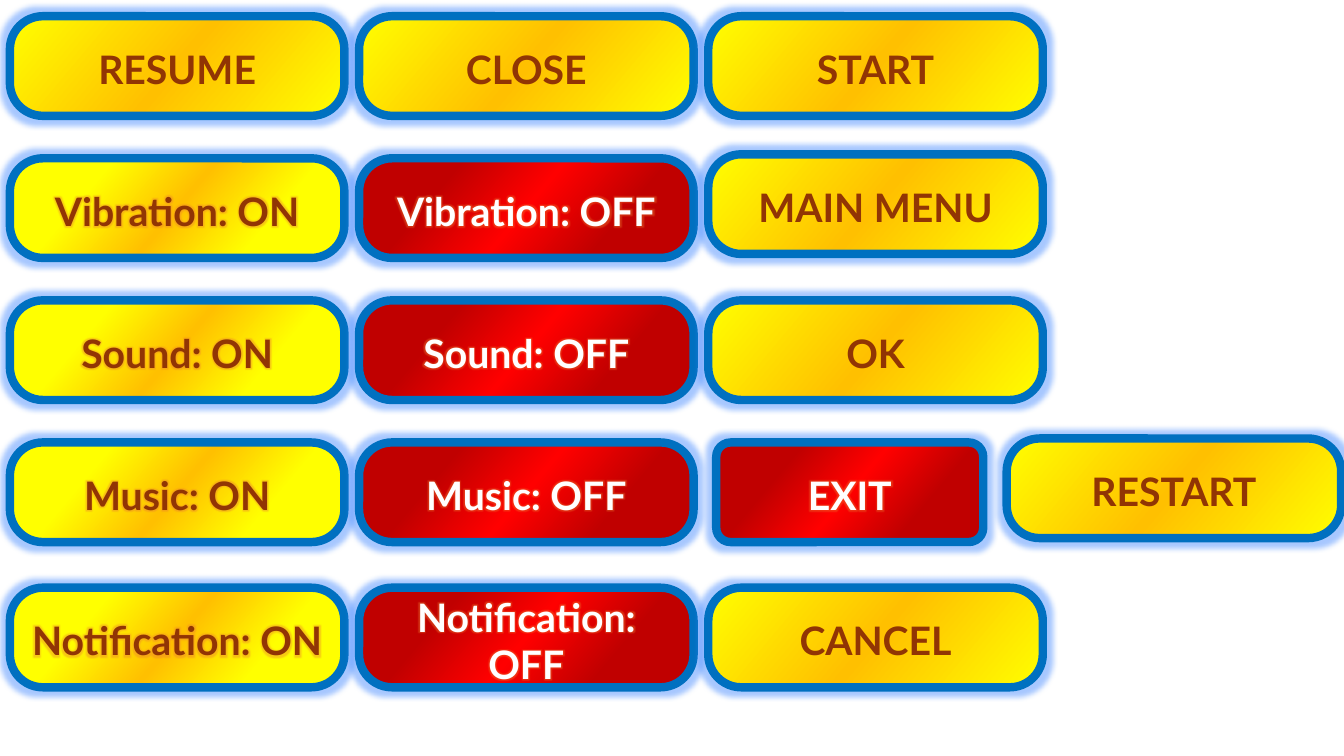
import copy

import lxml.etree
import pptx
import pptx.dml.color
import pptx.enum.shapes
import pptx.enum.text
import pptx.oxml.ns
import pptx.util

Cm = pptx.util.Cm
Pt = pptx.util.Pt
qn = pptx.oxml.ns.qn

# Button styles: gradient stops, text colour, text glow
STYLES = {
    "action": {"stops": [(0, "FFFF00"), (0.5, "FFC000"), (1, "FFFF00")],
               "text": "913504", "glow": False},
    "on": {"stops": [(0.25, "FFFF00"), (0.5, "FFC000"), (0.75, "FFFF00")],
           "text": "913504", "glow": True},
    "off": {"stops": [(0.25, "C00000"), (0.5, "FF0000"), (0.75, "C00000")],
            "text": "FFFFFF", "glow": True},
}
FRAME = {
    "margin_left": Cm(0.25), "margin_top": Cm(0.25),
    "margin_right": Cm(0.25), "margin_bottom": Cm(0.13),
    "vertical_anchor": pptx.enum.text.MSO_ANCHOR.MIDDLE, "word_wrap": True,
}
FONT = {"name": "Lato", "size": Pt(28), "bold": True}

# Button grid, in centimetres
LEFT, COL_STEP = 0.25, 8.8
ROW_TOPS = [0.41, 3.99, 7.57, 11.15, 14.81]
WIDTH, HEIGHT = 8.43, 2.51
SETTINGS = ["Vibration", "Sound", "Music", "Notification"]


def rgb(value):
    return pptx.dml.color.RGBColor.from_string(value)


def set_format(obj, values):
    for name, value in values.items():
        setattr(obj, name, value)


def add_glow(effects, radius, color, alpha):
    glow = lxml.etree.SubElement(effects, qn("a:glow"), rad=str(Pt(radius)))
    clr = lxml.etree.SubElement(glow, qn("a:srgbClr"), val=color)
    lxml.etree.SubElement(clr, qn("a:alpha"), val=str(alpha * 1000))


def fill_gradient(sp, stops):
    sp.fill.gradient()
    sp.fill.gradient_angle = 140
    gs_list = sp._element.spPr.find(".//" + qn("a:gsLst"))
    gs_list.append(copy.deepcopy(gs_list[0]))
    for stop, (position, color) in zip(sp.fill.gradient_stops, stops):
        stop.position = position
        stop.color.rgb = rgb(color)


def add_button(s, box, label, style, corner=0.331):
    look = STYLES[style]
    sp = s.shapes.add_shape(pptx.enum.shapes.MSO_SHAPE.ROUNDED_RECTANGLE,
                            *[Cm(v) for v in box])
    sp.adjustments[0] = corner
    fill_gradient(sp, look["stops"])
    sp.line.color.rgb = rgb("0070C0")
    sp.line.width = Pt(6)
    sp.shadow.inherit = False
    add_glow(sp._element.spPr.find(qn("a:effectLst")), 8, "3D85FF", 45)

    # Label
    tf = sp.text_frame
    set_format(tf, FRAME)
    p = tf.paragraphs[0]
    p.alignment = pptx.enum.text.PP_ALIGN.CENTER
    r = p.add_run()
    r.text = label
    set_format(r.font, FONT)
    r.font.color.rgb = rgb(look["text"])
    if look["glow"]:
        effects = lxml.etree.Element(qn("a:effectLst"))
        add_glow(effects, 5, "ED7D31", 40)
        r.font._element.find(qn("a:solidFill")).addnext(effects)


def add_switches(s, left, tops):
    """ON and OFF buttons, one pair per setting."""
    for top, name in zip(tops, SETTINGS):
        for col, state in enumerate(["ON", "OFF"]):
            box = (left + col * COL_STEP, top, WIDTH, HEIGHT)
            add_button(s, box, f"{name}: {state}", state.lower())


def add_actions(s, left, tops):
    """Top row, right-hand column and the restart button."""
    right = left + 2 * COL_STEP
    for col, label in enumerate(["RESUME", "CLOSE", "START"]):
        add_button(s, (left + col * COL_STEP, tops[0], WIDTH, HEIGHT), label, "action")
    places = [("MAIN MENU", right, tops[1] - 0.1), ("OK", right, tops[2]),
              ("CANCEL", right, tops[4]), ("RESTART", 25.37, tops[3] - 0.1)]
    for label, x, y in places:
        add_button(s, (x, y, WIDTH, HEIGHT), label, "action")
    add_button(s, (right + 0.2, tops[3], 6.73, HEIGHT), "EXIT", "off", corner=0.144)


def main():
    prs = pptx.Presentation()
    prs.slide_width, prs.slide_height = Cm(33.87), Cm(19.05)
    s = prs.slides.add_slide(prs.slide_layouts[6])
    add_switches(s, LEFT, ROW_TOPS[1:])
    add_actions(s, LEFT, ROW_TOPS)
    prs.save("out.pptx")


if __name__ == "__main__":
    main()
